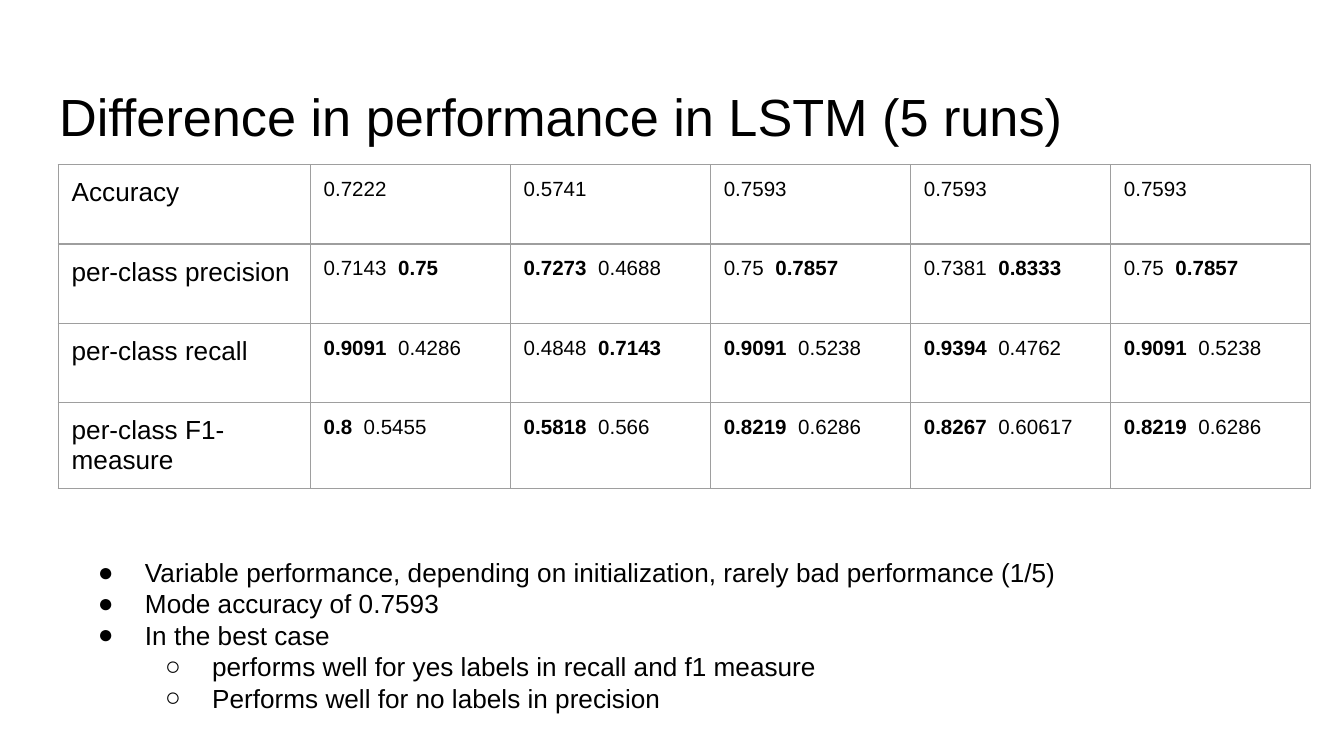
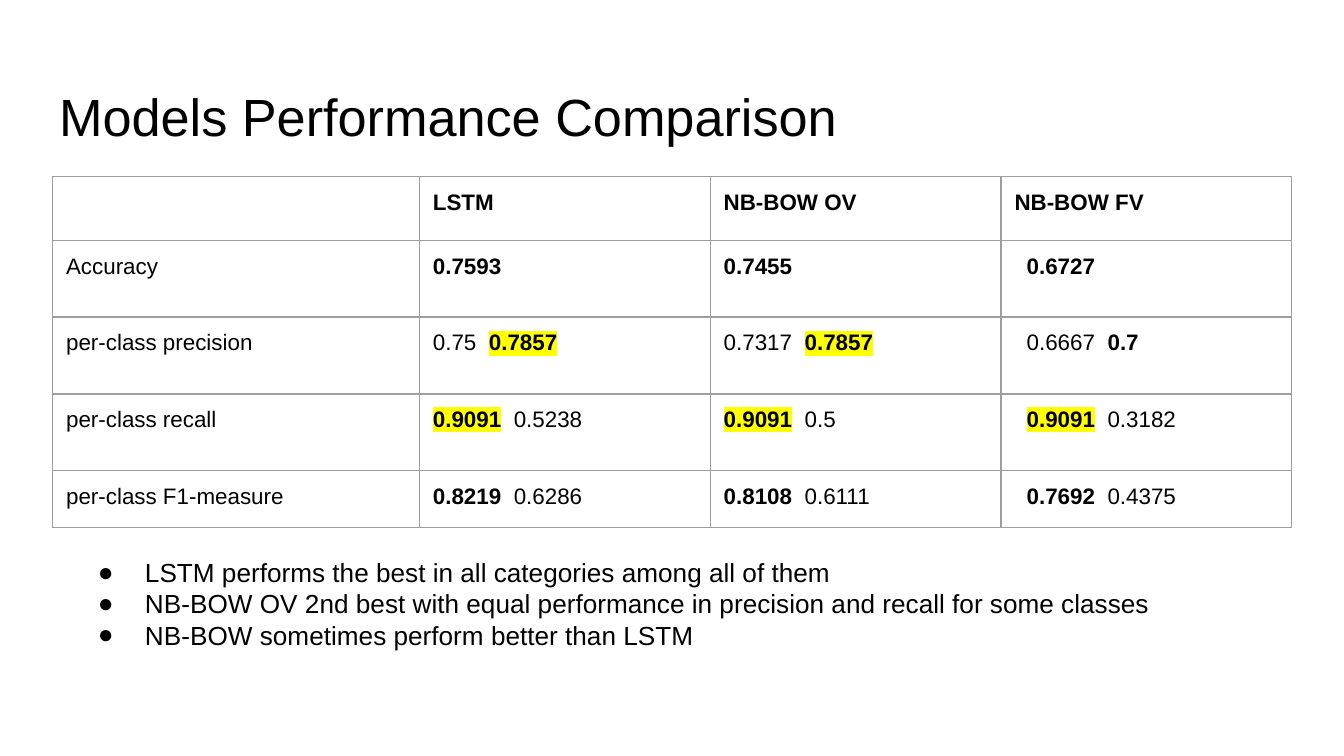
from dataclasses import dataclass

from lxml.etree import SubElement
from pptx import Presentation
from pptx.dml.color import RGBColor
from pptx.enum.text import MSO_ANCHOR, PP_ALIGN
from pptx.oxml import parse_xml
from pptx.oxml.ns import nsdecls, qn
from pptx.util import Pt

# Content: *bold* marks the higher class score; bullets are (level, text)
SLIDES = [
    {
        "title": "Difference in performance in LSTM (5 runs)",
        "table": {
            "left": 31.2, "top": 88.2,
            "label_width": 135, "value_width": 107.2,
            "row_heights": [42.5, 42.5, 42.5, 45.8],
            "label_size": 14, "value_size": 11,
            "highlights": set(), "last_column_inset": 7.2,
            "rows": [
                ["Accuracy", "0.7222", "0.5741", "0.7593", "0.7593", "0.7593"],
                ["per-class precision", "0.7143  *0.75*", "*0.7273*  0.4688",
                 "0.75  *0.7857*", "0.7381  *0.8333*", "0.75  *0.7857*"],
                ["per-class recall", "*0.9091*  0.4286", "0.4848  *0.7143*",
                 "*0.9091*  0.5238", "*0.9394*  0.4762", "*0.9091*  0.5238"],
                ["per-class F1-measure", "*0.8*  0.5455", "*0.5818*  0.566",
                 "*0.8219*  0.6286", "*0.8267*  0.60617", "*0.8219*  0.6286"],
            ],
        },
        "bullets": [
            (0, "Variable performance, depending on initialization, "
                "rarely bad performance (1/5)"),
            (0, "Mode accuracy of 0.7593"),
            (0, "In the best case"),
            (1, "performs well for yes labels in recall and f1 measure"),
            (1, "Performs well for no labels in precision"),
        ],
    },
    {
        "title": "Models Performance Comparison",
        "table": {
            "left": 28.2, "top": 94.5,
            "label_width": 196.5, "value_width": 155.8,
            "row_heights": [34.2, 41.2, 41.2, 41.2, 30.2],
            "label_size": 12, "value_size": 12,
            "highlights": {"0.7857", "0.9091"}, "last_column_inset": 13.7,
            "rows": [
                ["", "*LSTM*", "*NB-BOW OV*", "*NB-BOW FV*"],
                ["Accuracy", "*0.7593*", "*0.7455*", "*0.6727*"],
                ["per-class precision", "0.75  *0.7857*", "0.7317  *0.7857*",
                 "0.6667  *0.7*"],
                ["per-class recall", "*0.9091*  0.5238", "*0.9091*  0.5",
                 "*0.9091*  0.3182"],
                ["per-class F1-measure", "*0.8219*  0.6286",
                 "*0.8108*  0.6111", "*0.7692*  0.4375"],
            ],
        },
        "bullets": [
            (0, "LSTM performs the best in all categories among all of them"),
            (0, "NB-BOW OV 2nd best with equal performance in precision and "
                "recall for some classes"),
            (0, "NB-BOW sometimes perform better than LSTM"),
        ],
    },
]


@dataclass(frozen=True)
class Theme:
    font: str = "Arial"
    text: str = "000000"
    border: str = "9E9E9E"
    highlight: str = "FFFF00"
    border_width: float = 0.75
    title_size: int = 28
    body_size: int = 14
    inset: float = 7.2
    indent: int = 36
    hanging: float = 25.2
    bullets: tuple = ("●", "○")
    title_box: tuple = (24.5, 35, 671, 45.4)
    body_box: tuple = (34.6, 290.9, 667.4, 100.8)


THEME = Theme()


def points(values):
    return [Pt(value) for value in values]


def style_font(paragraph, size):
    paragraph.font.name = THEME.font
    paragraph.font.size = Pt(size)
    paragraph.font.color.rgb = RGBColor.from_string(THEME.text)


def set_insets(holder, left=THEME.inset, top=THEME.inset, bottom=THEME.inset):
    holder.margin_left, holder.margin_right = Pt(left), Pt(THEME.inset)
    holder.margin_top, holder.margin_bottom = Pt(top), Pt(bottom)


def add_title(slide, text):
    title = slide.shapes.title
    title.left, title.top, title.width, title.height = points(THEME.title_box)
    frame = title.text_frame
    frame.text = text
    frame.vertical_anchor = MSO_ANCHOR.TOP
    set_insets(frame, top=10, bottom=0)
    frame.paragraphs[0].alignment = PP_ALIGN.LEFT
    style_font(frame.paragraphs[0], THEME.title_size)


def add_borders(cell):
    properties = cell._tc.get_or_add_tcPr()
    for position, side in enumerate(("lnL", "lnR", "lnT", "lnB")):
        properties.insert(position, parse_xml(
            f'<a:{side} {nsdecls("a")} w="{Pt(THEME.border_width)}">'
            f'<a:solidFill><a:srgbClr val="{THEME.border}"/></a:solidFill>'
            f'</a:{side}>'))


def fill_cell(cell, text, size, highlights):
    paragraph = cell.text_frame.paragraphs[0]
    style_font(paragraph, size)
    # Every second piece lies between asterisks
    for number, piece in enumerate(text.split("*")):
        if not piece:
            continue
        run = paragraph.add_run()
        run.text = piece
        run.font.bold = number % 2 == 1
        if piece in highlights:
            mark = SubElement(run._r.get_or_add_rPr(), qn("a:highlight"))
            SubElement(mark, qn("a:srgbClr"), val=THEME.highlight)


def add_score_table(slide, data):
    rows = data["rows"]
    last_column = len(rows[0]) - 1
    widths = [data["label_width"]] + [data["value_width"]] * last_column
    heights = data["row_heights"]
    table = slide.shapes.add_table(
        len(rows), len(widths),
        *points((data["left"], data["top"], sum(widths), sum(heights)))).table
    table.first_row = table.horz_banding = False
    for column, width in zip(table.columns, widths):
        column.width = Pt(width)
    for row_index, (row, height) in enumerate(zip(rows, heights)):
        table.rows[row_index].height = Pt(height)
        for column_index, text in enumerate(row):
            cell = table.cell(row_index, column_index)
            indented = row_index > 0 and column_index == last_column
            set_insets(cell, data["last_column_inset"] if indented else THEME.inset)
            cell.vertical_anchor = MSO_ANCHOR.TOP
            cell.fill.background()
            add_borders(cell)
            size = data["value_size"] if column_index else data["label_size"]
            fill_cell(cell, text, size, data["highlights"])


def set_bullet(paragraph, level):
    paragraph.level = level
    properties = paragraph._p.get_or_add_pPr()
    properties.set("marL", str(Pt(THEME.indent * (level + 1))))
    properties.set("indent", str(-Pt(THEME.hanging)))
    color = SubElement(properties, qn("a:buClr"))
    SubElement(color, qn("a:srgbClr"), val=THEME.text)
    SubElement(properties, qn("a:buSzPts"), val=str(THEME.body_size * 100))
    SubElement(properties, qn("a:buFont"), typeface=THEME.font)
    SubElement(properties, qn("a:buChar"), char=THEME.bullets[level])


def add_bullets(slide, bullets):
    frame = slide.shapes.add_textbox(*points(THEME.body_box)).text_frame
    frame.word_wrap = True
    frame.vertical_anchor = MSO_ANCHOR.TOP
    set_insets(frame)
    for number, (level, text) in enumerate(bullets):
        paragraph = frame.add_paragraph() if number else frame.paragraphs[0]
        paragraph.text = text
        set_bullet(paragraph, level)
        style_font(paragraph, THEME.body_size)


# Build the slides
presentation = Presentation()
presentation.slide_width, presentation.slide_height = Pt(720), Pt(405)
title_only = presentation.slide_layouts[5]
for content in SLIDES:
    slide = presentation.slides.add_slide(title_only)
    add_title(slide, content["title"])
    add_score_table(slide, content["table"])
    add_bullets(slide, content["bullets"])
presentation.save("out.pptx")
